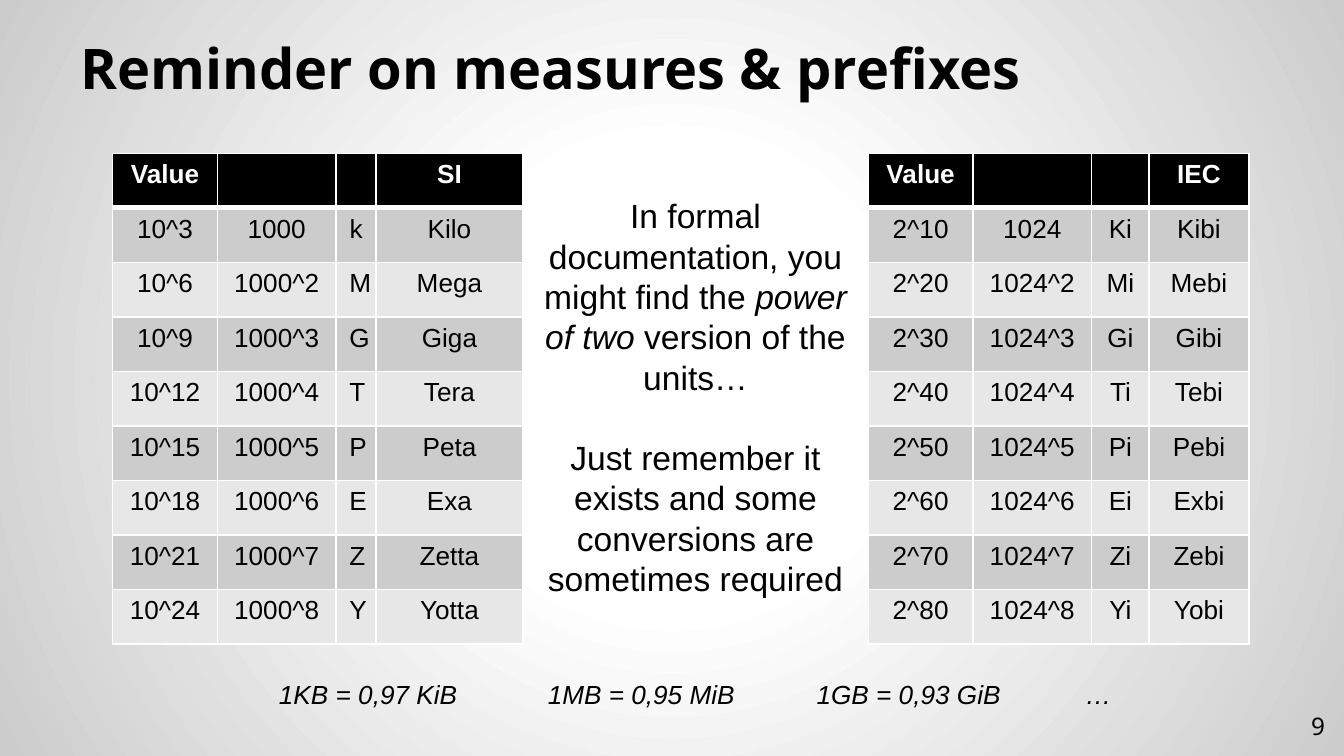
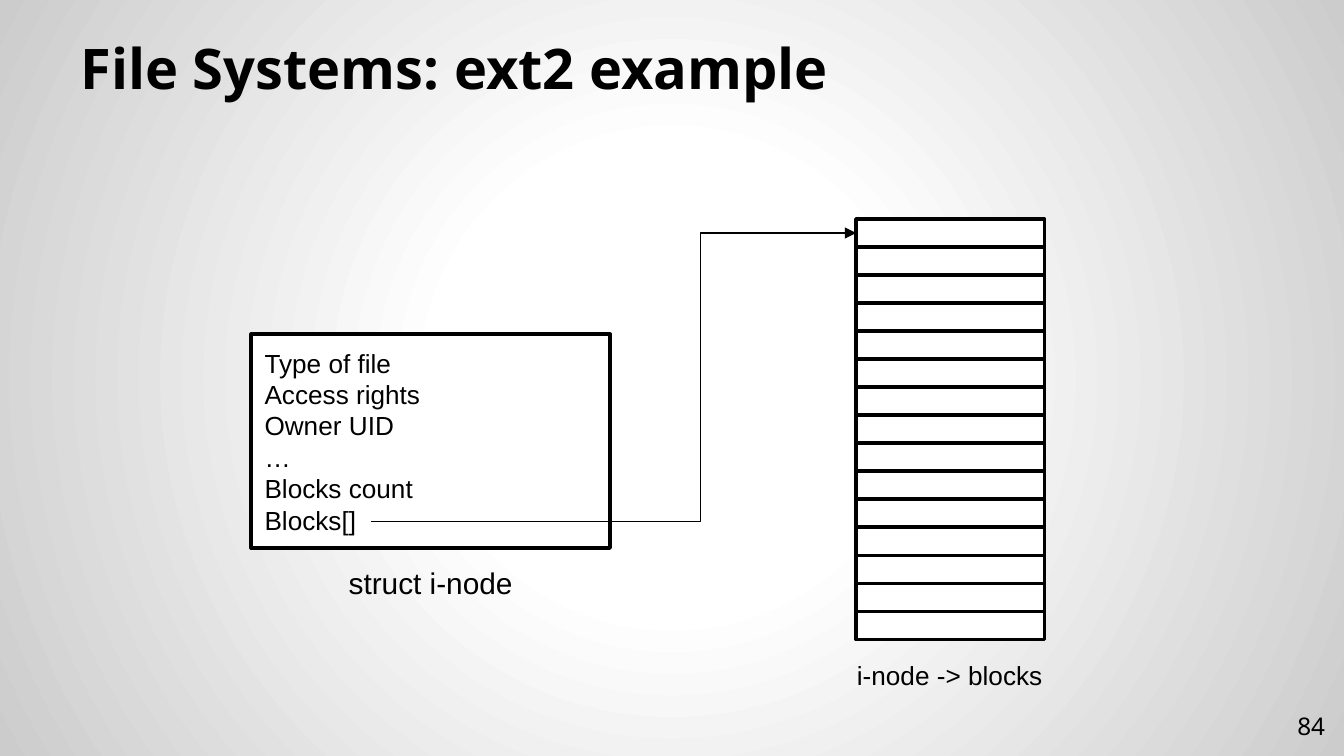
from dataclasses import dataclass

from lxml import etree
from pptx import Presentation
from pptx.dml.color import RGBColor
from pptx.enum.shapes import MSO_CONNECTOR, MSO_SHAPE
from pptx.enum.text import MSO_ANCHOR, PP_ALIGN
from pptx.oxml import parse_xml
from pptx.oxml.ns import nsdecls, qn
from pptx.util import Cm, Pt

# Shared style
BLACK = RGBColor(0x00, 0x00, 0x00)
WHITE = RGBColor(0xFF, 0xFF, 0xFF)
BAND_DARK = RGBColor(0xCC, 0xCC, 0xCC)
BAND_LIGHT = RGBColor(0xE7, 0xE7, 0xE7)
TITLE_FONT = "Noto Sans"
BODY_FONT = "Arial"
LEFT, CENTER, RIGHT = PP_ALIGN.LEFT, PP_ALIGN.CENTER, PP_ALIGN.RIGHT
TOP, MIDDLE, BOTTOM = MSO_ANCHOR.TOP, MSO_ANCHOR.MIDDLE, MSO_ANCHOR.BOTTOM
RECTANGLE = MSO_SHAPE.RECTANGLE
ELBOW = MSO_CONNECTOR.ELBOW
BLANK_LAYOUT = 6


@dataclass
class Run:
    text: str
    italic: bool = False


@dataclass
class Style:
    size: float
    font: str = BODY_FONT
    color: RGBColor = BLACK
    bold: bool = False
    align: PP_ALIGN = CENTER


@dataclass
class Box:
    """Position and size in centimetres."""
    left: float
    top: float
    width: float
    height: float

    def lengths(self):
        return Cm(self.left), Cm(self.top), Cm(self.width), Cm(self.height)


@dataclass
class PrefixTable:
    box: Box
    columns: list[float]
    system: str
    base: int
    exponent_step: int
    multiple: int
    prefixes: list[tuple[str, str]]

    def rows(self) -> list[tuple[str, ...]]:
        rows = [("Value", "", "", self.system)]
        for power, (symbol, name) in enumerate(self.prefixes, 1):
            multiple = f"{self.multiple}^{power}" if power > 1 else str(self.multiple)
            rows.append((f"{self.base}^{self.exponent_step * power}", multiple, symbol, name))
        return rows


TITLE_BOX = Box(1.27, 0.58, 22.86, 1.58)
NUMBER_BOX = Box(23.77, 13.18, 1.52, 1.09)
TITLE_STYLE = Style(30, TITLE_FONT, bold=True, align=LEFT)
NUMBER_STYLE = Style(13, TITLE_FONT, align=RIGHT)
HEADER_STYLE = Style(14, color=WHITE, bold=True)
SMALL_STYLE = Style(14)

PREFIX_TABLES = [
    PrefixTable(Box(2.13, 2.9, 7.75, 9.27), [1.98, 2.24, 0.76, 2.77], "SI", 10, 3, 1000,
                [("k", "Kilo"), ("M", "Mega"), ("G", "Giga"), ("T", "Tera"),
                 ("P", "Peta"), ("E", "Exa"), ("Z", "Zetta"), ("Y", "Yotta")]),
    PrefixTable(Box(16.41, 2.9, 7.19, 9.27), [1.98, 2.24, 1.09, 1.88], "IEC", 2, 10, 1024,
                [("Ki", "Kibi"), ("Mi", "Mebi"), ("Gi", "Gibi"), ("Ti", "Tebi"),
                 ("Pi", "Pebi"), ("Ei", "Exbi"), ("Zi", "Zebi"), ("Yi", "Yobi")]),
]

BLOCK_COUNT = 15
FIRST_BLOCK = Box(16.18, 4.14, 3.56, 0.53)
INODE_FIELDS = ["Type of file", "Access rights", "Owner UID", "…", "Blocks count", "Blocks[]"]


def write(text_frame, paragraphs: list[list[Run]], style: Style, gap: float = 0) -> None:
    for index, runs in enumerate(paragraphs):
        paragraph = text_frame.paragraphs[0] if index == 0 else text_frame.add_paragraph()
        paragraph.alignment = style.align
        if index and gap:
            paragraph.space_before = Pt(gap)
        for item in runs:
            run = paragraph.add_run()
            run.text = item.text
            run.font.name = style.font
            run.font.size = Pt(style.size)
            run.font.bold = style.bold
            run.font.italic = item.italic
            run.font.color.rgb = style.color


def add_text(slide, box: Box, paragraphs: list[list[Run]], style: Style,
             anchor: MSO_ANCHOR = TOP, inset: float = 0.13, gap: float = 0):
    shape = slide.shapes.add_textbox(*box.lengths())
    frame = shape.text_frame
    frame.word_wrap = True
    frame.vertical_anchor = anchor
    frame.margin_top = frame.margin_bottom = Cm(inset)
    write(frame, paragraphs, style, gap)
    return shape


def add_rectangle(slide, box: Box):
    shape = slide.shapes.add_shape(RECTANGLE, *box.lengths())
    shape.shadow.inherit = False
    shape.fill.solid()
    shape.fill.fore_color.rgb = WHITE
    shape.line.color.rgb = BLACK
    shape.line.width = Pt(2)
    return shape


def set_background(slide) -> None:
    slide.background.fill.gradient()
    gradient = slide.element.find(".//" + qn("a:gradFill"))
    stops = "".join(
        f'<a:gs pos="{position * 1000}"><a:srgbClr val="{color}"/></a:gs>'
        for position, color in [(0, WHITE), (30, WHITE), (100, BAND_DARK)])
    gradient.getparent().replace(gradient, parse_xml(
        f'<a:gradFill {nsdecls("a")}><a:gsLst>{stops}</a:gsLst><a:path path="circle">'
        '<a:fillToRect l="50000" t="50000" r="50000" b="50000"/></a:path></a:gradFill>'))


def new_slide(presentation, title: str, number: int):
    slide = presentation.slides.add_slide(presentation.slide_layouts[BLANK_LAYOUT])
    set_background(slide)
    add_text(slide, TITLE_BOX, [[Run(title)]], TITLE_STYLE, BOTTOM, 0.25)
    add_text(slide, NUMBER_BOX, [[Run(str(number))]], NUMBER_STYLE, MIDDLE, 0.25)
    return slide


def set_borders(cell, bottom_width: float) -> None:
    properties = cell._tc.get_or_add_tcPr()
    for side, width in (("L", 1), ("R", 1), ("T", 1), ("B", bottom_width)):
        properties.append(parse_xml(
            f'<a:ln{side} {nsdecls("a")} w="{Pt(width)}"><a:solidFill>'
            f'<a:srgbClr val="{WHITE}"/></a:solidFill></a:ln{side}>'))


def add_prefix_table(slide, spec: PrefixTable) -> None:
    rows = spec.rows()
    table = slide.shapes.add_table(len(rows), len(spec.columns), *spec.box.lengths()).table
    table.horz_banding = False
    for column, width in zip(table.columns, spec.columns):
        column.width = Cm(width)
    for row_index, values in enumerate(rows):
        table.rows[row_index].height = Cm(spec.box.height / len(rows))
        is_header = row_index == 0
        band = BLACK if is_header else BAND_DARK if row_index % 2 else BAND_LIGHT
        for column_index, value in enumerate(values):
            cell = table.cell(row_index, column_index)
            set_borders(cell, 3 if is_header else 1)
            cell.fill.solid()
            cell.fill.fore_color.rgb = band
            if value:
                write(cell.text_frame, [[Run(value)]],
                      HEADER_STYLE if is_header else SMALL_STYLE)


def set_tabs(paragraph, step: float, count: int) -> None:
    tabs = etree.SubElement(paragraph._p.get_or_add_pPr(), qn("a:tabLst"))
    for index in range(1, count + 1):
        etree.SubElement(tabs, qn("a:tab"), pos=str(Cm(step * index)), algn="l")


def add_elbow_arrow(slide, start: tuple[float, float], end: tuple[float, float],
                    bend: float) -> None:
    connector = slide.shapes.add_connector(
        ELBOW, *(Cm(value) for value in (*start, *end)))
    connector.line.color.rgb = BLACK
    connector.line.width = Pt(0.75)
    properties = connector._element.spPr
    etree.SubElement(properties.find(qn("a:ln")), qn("a:tailEnd"), type="triangle")
    etree.SubElement(properties, qn("a:effectLst"))
    geometry = properties.find(qn("a:prstGeom"))
    adjustments = geometry.find(qn("a:avLst"))
    etree.SubElement(adjustments, qn("a:gd"), name="adj1", fmla=f"val {round(bend * 100000)}")


def build_prefixes(presentation) -> None:
    slide = new_slide(presentation, "Reminder on measures & prefixes", 9)
    for spec in PREFIX_TABLES:
        add_prefix_table(slide, spec)
    add_text(slide, Box(9.88, 3.56, 6.53, 7.95), [
        [Run("In formal documentation, you might find the "),
         Run("power of two", italic=True), Run(" version of the units…")],
        [Run("Just remember it exists and some conversions are sometimes required")],
    ], Style(18), gap=21.6)

    # Conversions, evenly tabbed
    conversions = ["1KB = 0,97 KiB", "1MB = 0,95 MiB", "1GB = 0,93 GiB", "…"]
    shape = add_text(slide, Box(2.51, 12.7, 21.26, 0.86),
                     [[Run("\t".join(conversions), italic=True)]], SMALL_STYLE)
    set_tabs(shape.text_frame.paragraphs[0], 5.08, len(conversions) - 1)


def build_file_system(presentation) -> None:
    slide = new_slide(presentation, "File Systems: ext2 example", 84)

    # Stack of blocks
    first = FIRST_BLOCK
    for index in range(BLOCK_COUNT):
        add_rectangle(slide, Box(first.left, first.top + index * first.height,
                                 first.width, first.height))
    add_text(slide, Box(15.27, 12.34, 5.36, 0.86), [[Run("i-node -> blocks")]], SMALL_STYLE)

    # The i-node and its fields
    inode = add_rectangle(slide, Box(4.75, 6.32, 6.78, 4.04))
    inode.text_frame.word_wrap = True
    inode.text_frame.vertical_anchor = MIDDLE
    write(inode.text_frame, [[Run(field)] for field in INODE_FIELDS], Style(14, align=LEFT))
    add_text(slide, Box(4.75, 10.54, 6.78, 0.94), [[Run("struct i-node")]], Style(16))

    # From the block list to the first block
    add_elbow_arrow(slide, (7.01, 9.86), (first.left, first.top + first.height / 2), 0.68)


def main() -> None:
    presentation = Presentation()
    presentation.slide_width = Cm(25.4)
    presentation.slide_height = Cm(14.29)
    build_prefixes(presentation)
    build_file_system(presentation)
    presentation.save("out.pptx")


if __name__ == "__main__":
    main()
